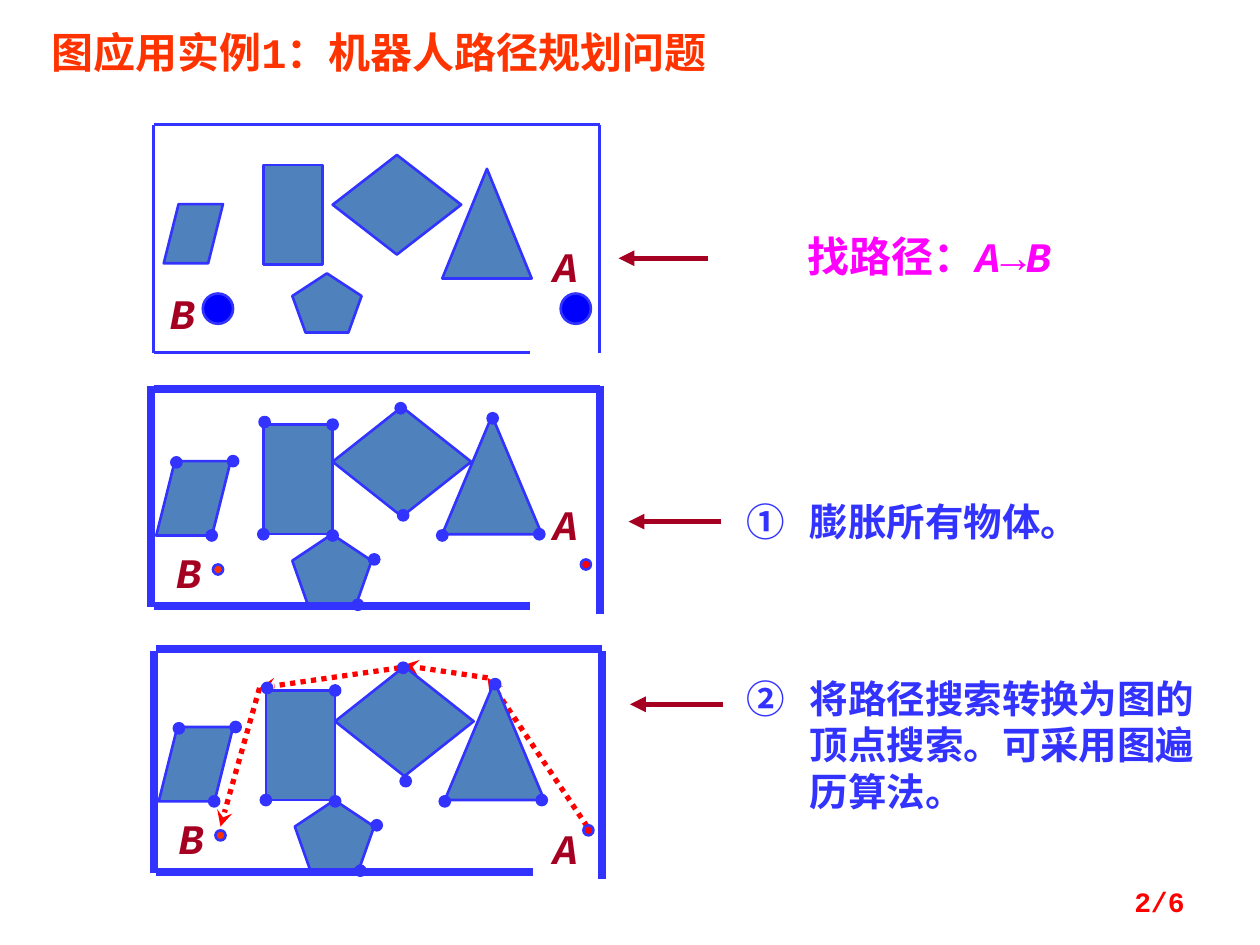
import pptx
import pptx.util
import pptx.dml.color
import pptx.enum.dml
import pptx.enum.shapes
import pptx.enum.text
from pptx.oxml.ns import qn
from lxml import etree

Inches = pptx.util.Inches
Shape = pptx.enum.shapes.MSO_SHAPE
Align = pptx.enum.text.PP_ALIGN

COLORS = {
    "outline": "3333FF", "obstacle": "4F81BD", "robot": "0000FF",
    "red": "FF0000", "title": "FF3300", "label": "A50021", "goal": "FF00FF",
}
FONT = "Courier New"
DOT = 0.08
# The two expanded rooms differ by this shift; the top wall and diamond move less.
SHIFT_X, SHIFT_Y, TOP_SHIFT_Y = 0.02, 2.11, 2.06

ROOM_OBSTACLES = [
    (Shape.RECTANGLE, 2.09, 1.31, 0.47, 0.79),
    (Shape.DIAMOND, 2.64, 1.23, 1.02, 0.79),
    (Shape.REGULAR_PENTAGON, 2.32, 2.17, 0.55, 0.47),
    (Shape.ISOSCELES_TRIANGLE, 3.51, 1.34, 0.71, 0.87),
    (Shape.PARALLELOGRAM, 1.30, 1.62, 0.47, 0.47),
]
EXPANDED_OBSTACLES = [
    (Shape.RECTANGLE, 2.09, 3.37, 0.55, 0.87),
    (Shape.DIAMOND, 2.64, 3.23, 1.10, 0.87),
    (Shape.REGULAR_PENTAGON, 2.32, 4.24, 0.63, 0.55),
    (Shape.ISOSCELES_TRIANGLE, 3.51, 3.30, 0.79, 0.94),
    (Shape.PARALLELOGRAM, 1.24, 3.66, 0.59, 0.59),
]
VERTICES = [
    (4.24, 4.20), (3.87, 3.28), (2.60, 3.33), (2.06, 3.31), (2.80, 4.76),
    (2.93, 4.40), (3.47, 4.21), (3.16, 4.05), (2.05, 4.20), (2.60, 4.21),
    (1.81, 3.62), (1.64, 4.21), (1.36, 3.63),
]
DIAMOND_TOP = (3.14, 3.20)
PATH_LEGS = [
    (4.66, 6.56, 3.87, 5.38), (3.87, 5.38, 3.20, 5.28),
    (3.17, 5.30, 2.06, 5.46), (2.06, 5.46, 1.75, 6.56),
]
POINTERS = [(5.62, 2.05, 4.91), (5.72, 4.14, 4.99), (5.74, 5.59, 5.00)]


def color(name):
    return pptx.dml.color.RGBColor.from_string(COLORS[name])


def add_line(slide, ends, name, width, head=None, dotted=False):
    connector = slide.shapes.add_connector(
        pptx.enum.shapes.MSO_CONNECTOR.STRAIGHT, *map(Inches, ends))
    connector.line.color.rgb = color(name)
    connector.line.width = pptx.util.Pt(width)
    if dotted:
        connector.line.dash_style = pptx.enum.dml.MSO_LINE.ROUND_DOT
    properties = connector._element.spPr
    if head:
        etree.SubElement(properties.find(qn("a:ln")), qn("a:tailEnd"), type=head)
    etree.SubElement(properties, qn("a:effectLst"))


def add_figure(slide, kind, left, top, width, height, fill):
    shape = slide.shapes.add_shape(kind, *map(Inches, (left, top, width, height)))
    shape.shadow.inherit = False
    shape.fill.solid()
    shape.fill.fore_color.rgb = color(fill)
    shape.line.color.rgb = color("outline")
    shape.line.width = pptx.util.Pt(1.5)


def add_dot(slide, left, top, fill="outline", size=DOT):
    add_figure(slide, Shape.OVAL, left, top, size, size, fill)


def add_text(slide, box, runs, name, size, align=Align.LEFT, number=None):
    """Add one paragraph of (text, italic) runs, optionally with a circled number."""
    shape = slide.shapes.add_textbox(*map(Inches, box))
    frame = shape.text_frame
    frame.word_wrap = True
    paragraph = frame.paragraphs[0]
    paragraph.alignment = align
    if number:
        properties = paragraph._p.get_or_add_pPr()
        properties.set("marL", str(Inches(0.5)))
        properties.set("indent", str(Inches(-0.5)))
        etree.SubElement(properties, qn("a:buFont"), typeface="+mj-lt")
        etree.SubElement(properties, qn("a:buAutoNum"),
                         type="circleNumDbPlain", startAt=str(number))
    for text, italic in runs:
        run = paragraph.add_run()
        run.text = text
        run.font.name = FONT
        run.font.size = pptx.util.Pt(size)
        run.font.bold = True
        run.font.italic = italic
        run.font.color.rgb = color(name)
    return frame


def add_label(slide, letter, left, top):
    add_text(slide, (left, top, 0.39, 0.5), [(letter, True)], "label", 24, Align.CENTER)


def add_walls(slide, walls, width):
    for wall in walls:
        add_line(slide, wall, "outline", width)


def add_room(slide):
    left, right, top, bottom = 1.22, 4.76, 0.99, 2.80
    add_walls(slide, [(left, top, left, bottom), (left, top, right, top),
                      (right, top, right, bottom), (left, bottom, 4.21, bottom)], 1.5)
    for obstacle in ROOM_OBSTACLES:
        add_figure(slide, *obstacle, "obstacle")
    add_label(slide, "A", 4.29, 1.86)
    add_label(slide, "B", 1.25, 2.23)
    add_dot(slide, 4.45, 2.33, "robot", 0.24)
    add_dot(slide, 1.61, 2.33, "robot", 0.24)


def add_expanded_room(slide, dx, dy, top_dy, label_a_top):
    """Draw the room with grown obstacles and their vertices, moved by dx and dy."""
    left, right, top = 1.22 + dx, 4.76 + dx, 3.09 + top_dy
    side_top, bottom = 3.06 + dy, 4.81 + dy
    add_walls(slide, [(1.2 + dx, side_top, 1.2 + dx, bottom + 0.01),
                      (left, top, right, top),
                      (right, side_top, right, bottom + 0.06),
                      (left, bottom, 4.21 + dx, bottom)], 4.5)
    add_dot(slide, 4.61 + dx, 4.44 + dy, "red")
    for kind, x, y, width, height in EXPANDED_OBSTACLES:
        shift = top_dy if kind == Shape.DIAMOND else dy
        add_figure(slide, kind, x + dx, y + shift, width, height, "obstacle")
    add_label(slide, "A", 4.29, label_a_top)
    add_label(slide, "B", 1.3 + dx, 4.29 + dy)
    for x, y in VERTICES:
        add_dot(slide, x + dx, y + dy)
    add_dot(slide, DIAMOND_TOP[0] + dx, DIAMOND_TOP[1] + top_dy)
    add_dot(slide, 1.69 + dx, 4.48 + dy, "title")


def main():
    presentation = pptx.Presentation()
    presentation.slide_width = Inches(10)
    presentation.slide_height = Inches(7.5)
    slide = presentation.slides.add_slide(presentation.slide_layouts[6])

    add_text(slide, (0.31, 0.16, 6.17, 0.5),
             [("图应用实例1：机器人路径规划问题", False)], "title", 24)
    for leg in PATH_LEGS:
        add_line(slide, leg, "red", 3, "stealth", dotted=True)
    add_expanded_room(slide, 0, 0, 0, 3.91)
    add_expanded_room(slide, SHIFT_X, SHIFT_Y, TOP_SHIFT_Y, 6.48)
    add_room(slide)

    for start, y, end in POINTERS:
        add_line(slide, (start, y, end, y), "label", 3, "triangle")
    add_text(slide, (5.76, 1.78, 3.23, 0.5),
             [("找路径：", False), ("A", True), ("→", False), ("B", True)],
             "goal", 24, Align.CENTER)
    add_text(slide, (5.83, 3.9, 3, 0.47), [("膨胀所有物体。", False)],
             "outline", 22, number=1)
    add_text(slide, (5.83, 5.31, 3.86, 1.21),
             [("将路径搜索转换为图的顶点搜索。可采用图遍历算法。", False)],
             "outline", 22, number=2)
    page = add_text(slide, (7.17, 6.95, 2.33, 0.4), [("2/6", False)],
                    "red", 16, Align.RIGHT)
    page.vertical_anchor = pptx.enum.text.MSO_ANCHOR.MIDDLE
    presentation.save("out.pptx")


if __name__ == "__main__":
    main()
